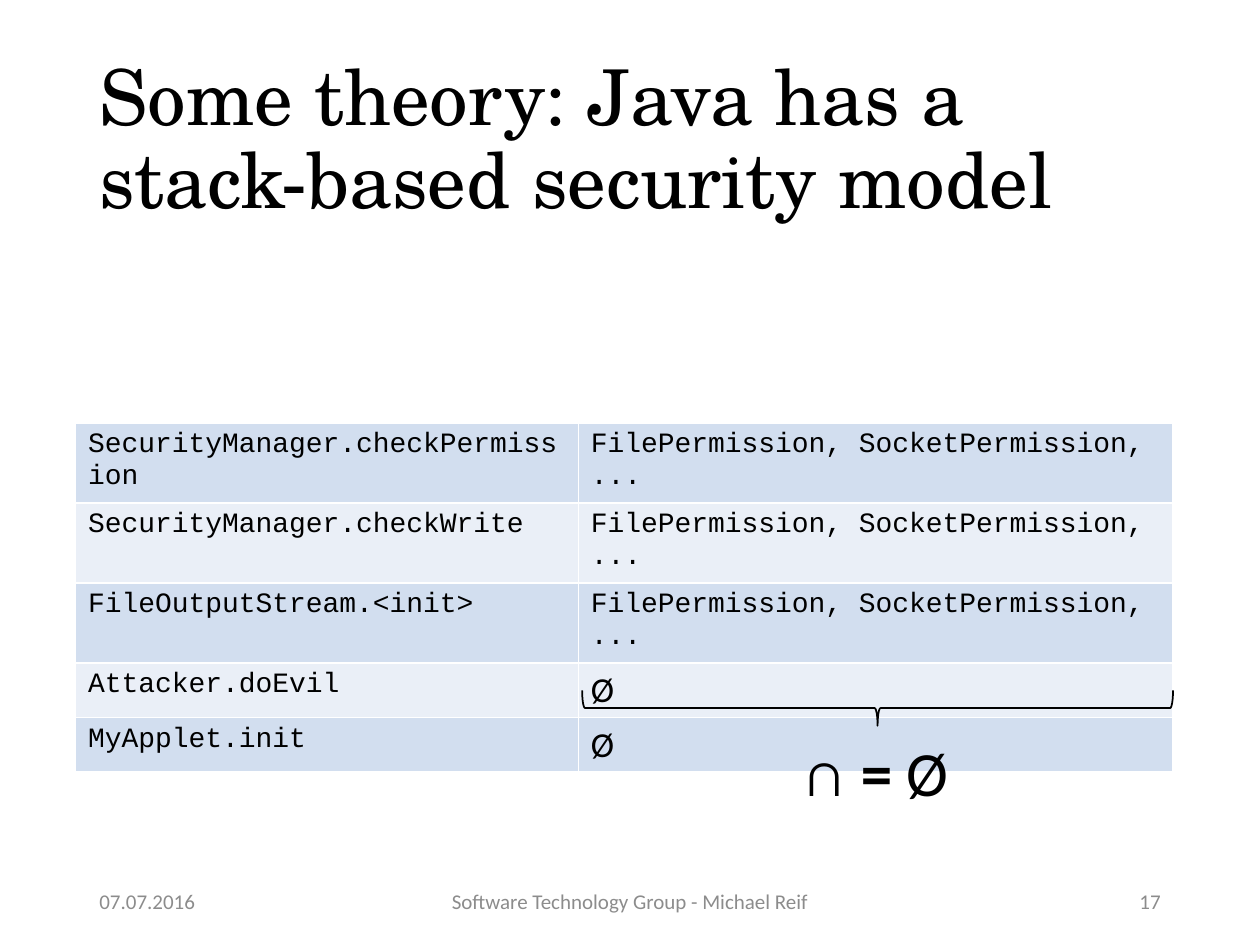
"""Build a slide on Java's stack-based security model."""
from lxml import etree
from pptx import Presentation
from pptx import util as u
from pptx.dml.color import RGBColor
from pptx.enum import shapes, text
from pptx.oxml.ns import qn

COLORS = {"ink": "000000", "muted": "8C8C8C", "border": "FFFFFF",
          "odd": "D2DEEF", "even": "EAEFF7"}
TITLE_FONT, BODY_FONT, CODE_FONT = "TeX Gyre Schola", "Calibri", "Courier New"
TITLE = "Some theory: Java has a stack-based security model"
TRUSTED = "FilePermission, SocketPermission, ..."
EMPTY = "Ø"
STACK = [
    ("SecurityManager.checkPermission", TRUSTED),
    ("SecurityManager.checkWrite", TRUSTED),
    ("FileOutputStream.<init>", TRUSTED),
    ("Attacker.doEvil", EMPTY),
    ("MyApplet.init", EMPTY),
]
RESULT = [("∩ ", False), ("= ", True), (EMPTY, False)]
ALIGN = text.PP_ALIGN
FOOTER = [
    ("07.07.2016", 0.69, 2.25, ALIGN.LEFT),
    ("Software Technology Group - Michael Reif", 3.31, 3.38, ALIGN.CENTER),
    ("17", 7.06, 2.25, ALIGN.RIGHT),
]
WIDTH, HEIGHT = 10, 7.5
COLS, ROW_H = (3.99, 4.72), 0.41
TABLE_X, TABLE_Y = 0.6, 3.36
BRACE_Y, BRACE_W, BRACE_H = 5.48, 4.69, 0.28


def rgb(name):
    return RGBColor.from_string(COLORS[name])


def box(*lengths):
    return [u.Inches(v) for v in lengths]


def style(r, size, font, color="ink", bold=False):
    r.font.size, r.font.name, r.font.bold = u.Pt(size), font, bold
    r.font.color.rgb = rgb(color)


def add_text(s, at, runs, size, font, color="ink", align=ALIGN.LEFT,
             anchor=text.MSO_ANCHOR.MIDDLE, wrap=True):
    tf = s.shapes.add_textbox(*box(*at)).text_frame
    tf.word_wrap, tf.vertical_anchor = wrap, anchor
    p = tf.paragraphs[0]
    p.alignment = align
    for words, bold in runs:
        r = p.add_run()
        r.text = words
        style(r, size, font, color, bold)
    return tf


def add_borders(cell):
    pr = cell._tc.get_or_add_tcPr()
    for i, side in enumerate(("lnL", "lnR", "lnT", "lnB")):
        ln = etree.Element(qn(f"a:{side}"), w=str(u.Pt(1)))
        fill = etree.SubElement(ln, qn("a:solidFill"))
        etree.SubElement(fill, qn("a:srgbClr"), val=COLORS["border"])
        pr.insert(i, ln)


def add_stack(s):
    at = box(TABLE_X, TABLE_Y, sum(COLS), ROW_H * len(STACK))
    table = s.shapes.add_table(len(STACK), len(COLS), *at).table
    table.first_row = False
    for col, w in zip(table.columns, COLS):
        col.width = u.Inches(w)
    for i, row in enumerate(STACK):
        for j, words in enumerate(row):
            cell = table.cell(i, j)
            cell.fill.solid()
            cell.fill.fore_color.rgb = rgb("even" if i % 2 else "odd")
            add_borders(cell)
            cell.text_frame.text = words
            size, font = (20, BODY_FONT) if words == EMPTY else (16, CODE_FONT)
            style(cell.text_frame.paragraphs[0].runs[0], size, font)


def add_brace(s):
    mid_x = TABLE_X + sum(COLS) - BRACE_W / 2
    mid_y = BRACE_Y + BRACE_H / 2
    sp = s.shapes.add_shape(shapes.MSO_SHAPE.RIGHT_BRACE, *box(
        mid_x - BRACE_H / 2, mid_y - BRACE_W / 2, BRACE_H, BRACE_W))
    sp.rotation = 90
    sp.shadow.inherit = False
    sp.fill.background()
    sp.line.color.rgb, sp.line.width = rgb("ink"), u.Pt(1)


def main():
    prs = Presentation()
    prs.slide_width, prs.slide_height = box(WIDTH, HEIGHT)
    s = prs.slides.add_slide(prs.slide_layouts[6])
    tf = add_text(s, (0.69, 0.4, 8.62, 1.45), [(TITLE, False)], 44, TITLE_FONT)
    tf.paragraphs[0].line_spacing = 0.9
    for words, x, w, align in FOOTER:
        add_text(s, (x, 6.95, w, 0.4), [(words, False)], 12, BODY_FONT,
                 "muted", align)
    add_stack(s)
    tf = add_text(s, (6.27, 5.77, 1.53, 0.71), RESULT, 36, BODY_FONT,
                  anchor=text.MSO_ANCHOR.TOP, wrap=False)
    tf.auto_size = text.MSO_AUTO_SIZE.SHAPE_TO_FIT_TEXT
    add_brace(s)
    prs.save("out.pptx")


if __name__ == "__main__":
    main()
